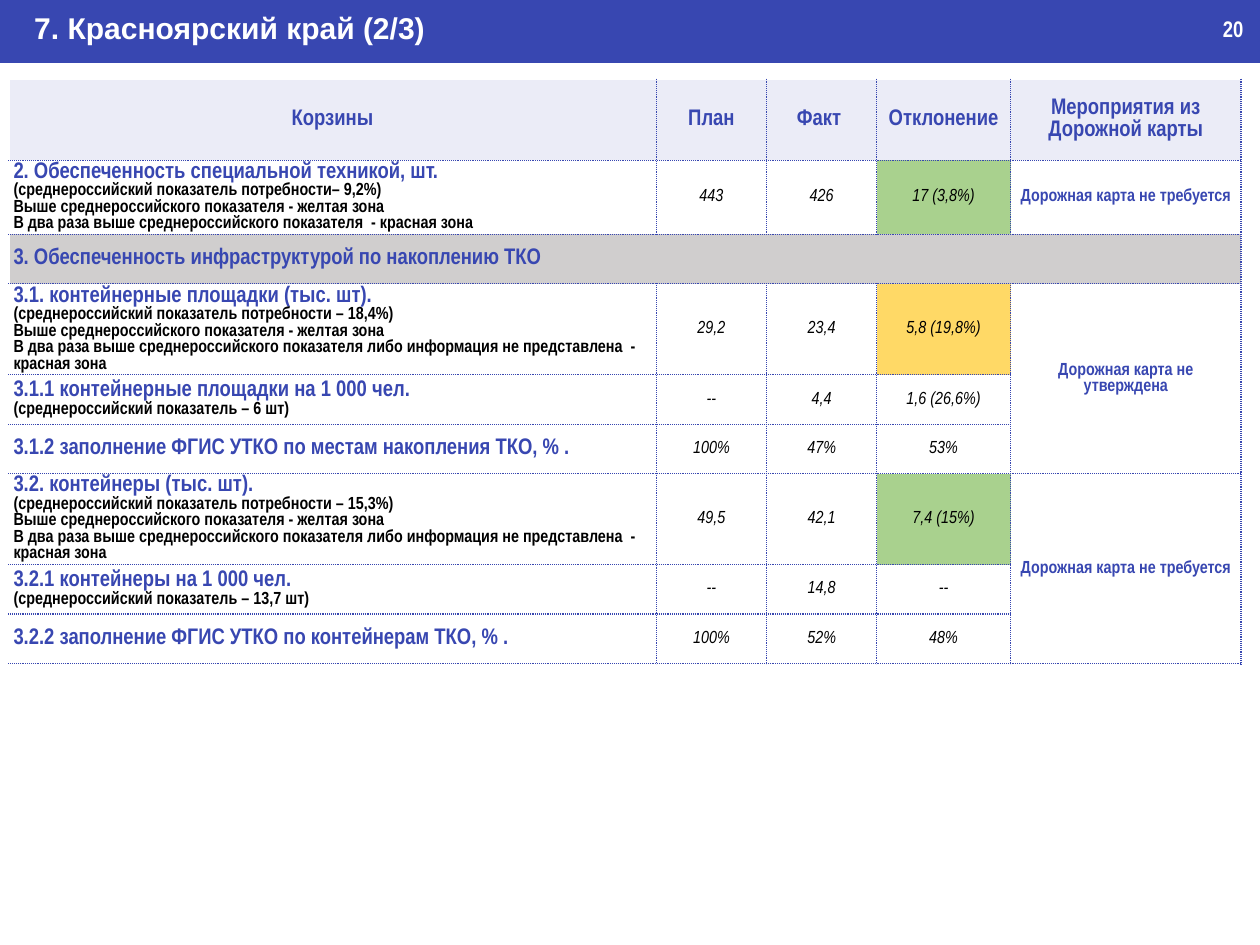
import pptx
import pptx.dml.color
import pptx.enum.shapes
import pptx.enum.text
import pptx.oxml
import pptx.oxml.ns
import pptx.util
from pptx.util import Inches

RGBColor = pptx.dml.color.RGBColor
BLUE = RGBColor(0x38, 0x47, 0xB1)
LAVENDER = RGBColor(0xEB, 0xEC, 0xF7)
GREY = RGBColor(0xD0, 0xCE, 0xCE)
GREEN = RGBColor(0xA9, 0xD1, 0x8E)
YELLOW = RGBColor(0xFF, 0xD9, 0x66)
WHITE = RGBColor(0xFF, 0xFF, 0xFF)
BLACK = RGBColor(0, 0, 0)

CENTER = pptx.enum.text.PP_ALIGN.CENTER
LEFT = pptx.enum.text.PP_ALIGN.LEFT

# Text formats
HEADING = {"name": "Arial Narrow", "size": 18, "bold": True, "italic": False, "color": BLUE}
NOTE = {**HEADING, "size": 14, "color": BLACK}
VALUE = {**NOTE, "bold": False, "italic": True}
ROADMAP = {**HEADING, "size": 14}
NUMBER = {**HEADING, "color": WHITE}
TITLE = {**NUMBER, "name": "Arial", "size": 24}

# Table content
COLUMN_WIDTHS = [7.19, 1.23, 1.22, 1.49, 2.56]
ROW_HEIGHTS = [0.9, 0.54] + [0.55] * 7
HEADERS = ["Корзины", "План", "Факт ", "Отклонение", "Мероприятия из Дорожной карты"]
ABOVE = "Выше среднероссийского показателя - желтая зона"
TWICE = "В два раза выше среднероссийского показателя"
RED = "- красная зона"
TWICE_OR_MISSING = f"{TWICE} либо информация не представлена  {RED}"

# Each row: basket lines, plan / fact / deviation, fill of the deviation
ROWS = [
    (["2. Обеспеченность специальной техникой, шт.",
      "(среднероссийский показатель потребности– 9,2%)", ABOVE, f"{TWICE}  {RED}"],
     ["443", "426", "17 (3,8%)"], GREEN),
    (["3. Обеспеченность инфраструктурой по накоплению ТКО"], [], None),
    (["3.1. контейнерные площадки (тыс. шт).",
      "(среднероссийский показатель потребности – 18,4%)", ABOVE, TWICE_OR_MISSING],
     ["29,2", "23,4", "5,8 (19,8%)"], YELLOW),
    (["3.1.1 контейнерные площадки на 1 000 чел.", "(среднероссийский показатель – 6 шт)"],
     ["--", "4,4", "1,6 (26,6%)"], WHITE),
    (["3.1.2 заполнение ФГИС УТКО по местам накопления ТКО, % ."],
     ["100%", "47%", "53%"], WHITE),
    (["3.2. контейнеры (тыс. шт).",
      "(среднероссийский показатель потребности – 15,3%)", ABOVE, TWICE_OR_MISSING],
     ["49,5", "42,1", "7,4 (15%)"], GREEN),
    (["3.2.1 контейнеры на 1 000 чел.", "(среднероссийский показатель – 13,7 шт)"],
     ["--", "14,8", "--"], WHITE),
    (["3.2.2 заполнение ФГИС УТКО по контейнерам ТКО, % ."],
     ["100%", "52%", "48%"], WHITE),
]

# Each entry: first row, last row, text of the roadmap column
ROADMAPS = [
    (1, 1, "Дорожная карта не требуется"),
    (3, 5, "Дорожная карта не утверждена"),
    (6, 8, "Дорожная карта не требуется"),
]


def write_lines(frame, lines, align=LEFT):
    """Write (text, format) pairs, one paragraph each."""
    for index, (text, style) in enumerate(lines):
        para = frame.add_paragraph() if index else frame.paragraphs[0]
        para.alignment = align
        span = para.add_run()
        span.text = text
        for key, value in style.items():
            if key == "color":
                span.font.color.rgb = value
            else:
                setattr(span.font, key, pptx.util.Pt(value) if key == "size" else value)


def add_label(page, bounds, text, style, left_inset=0.1):
    box = page.shapes.add_textbox(*map(Inches, bounds))
    frame = box.text_frame
    frame.word_wrap = True
    frame.margin_left = Inches(left_inset)
    write_lines(frame, [(text, style)])


def add_band(page, bounds, color):
    band = page.shapes.add_shape(pptx.enum.shapes.MSO_SHAPE.RECTANGLE, *map(Inches, bounds))
    band.shadow.inherit = False
    band.fill.solid()
    band.fill.fore_color.rgb = color
    band.line.fill.background()


def add_borders(cell, sides):
    properties = cell._tc.get_or_add_tcPr()
    for side in sides:
        properties.append(pptx.oxml.parse_xml(
            f'<a:ln{side} {pptx.oxml.ns.nsdecls("a")} w="12700">'
            f'<a:solidFill><a:srgbClr val="{BLUE}"/></a:solidFill>'
            f'<a:prstDash val="sysDot"/></a:ln{side}>'))


def format_cell(cell, row, column):
    """Set insets, anchor and borders; the outer top and left edges stay open."""
    insets = {"margin_left": 0.05, "margin_right": 0.05, "margin_top": 0.02, "margin_bottom": 0.02}
    for key, value in insets.items():
        setattr(cell, key, Inches(value))
    cell.vertical_anchor = pptx.enum.text.MSO_ANCHOR.MIDDLE
    add_borders(cell, ("L" if column else "") + "R" + ("T" if row else "") + "B")


def fill_cell(cell, color, lines=(), align=CENTER):
    cell.fill.solid()
    cell.fill.fore_color.rgb = color
    write_lines(cell.text_frame, lines, align)


def add_baskets_table(page):
    frame = page.shapes.add_table(
        len(ROW_HEIGHTS), len(COLUMN_WIDTHS), Inches(0.1), Inches(0.88),
        Inches(sum(COLUMN_WIDTHS)), Inches(sum(ROW_HEIGHTS)))
    table = frame.table
    table.first_row = table.horz_banding = False
    for column, width in zip(table.columns, COLUMN_WIDTHS):
        column.width = Inches(width)
    for row, height in zip(table.rows, ROW_HEIGHTS):
        row.height = Inches(height)
    for row in range(len(ROW_HEIGHTS)):
        for column in range(len(COLUMN_WIDTHS)):
            format_cell(table.cell(row, column), row, column)

    # Header row
    for column, text in enumerate(HEADERS):
        fill_cell(table.cell(0, column), LAVENDER, [(text, HEADING)])

    # Baskets with their values; a row without values is a section
    for row, (lines, values, deviation_fill) in enumerate(ROWS, start=1):
        basket = table.cell(row, 0)
        styled = [(line, NOTE if index else HEADING) for index, line in enumerate(lines)]
        fill_cell(basket, WHITE if values else GREY, styled, LEFT)
        if not values:
            basket.merge(table.cell(row, len(COLUMN_WIDTHS) - 1))
        fills = [WHITE, WHITE, deviation_fill]
        for column, (value, color) in enumerate(zip(values, fills), start=1):
            fill_cell(table.cell(row, column), color, [(value, VALUE)])

    # Roadmap column
    for first, last, text in ROADMAPS:
        roadmap = table.cell(first, 4)
        fill_cell(roadmap, WHITE, [(text, ROADMAP)])
        if last > first:
            roadmap.merge(table.cell(last, 4))


def main():
    deck = pptx.Presentation()
    deck.slide_width, deck.slide_height = Inches(14), Inches(10.5)
    page = deck.slides.add_slide(deck.slide_layouts[6])

    add_band(page, (0, 0, 14, 0.7), BLUE)
    add_baskets_table(page)
    add_label(page, (-0.01, 0.06, 13.99, 0.5), "7. Красноярский край (2/3)", TITLE, 0.39)
    add_label(page, (13.49, 0.12, 0.49, 0.4), "20", NUMBER)

    deck.save("out.pptx")


if __name__ == "__main__":
    main()
